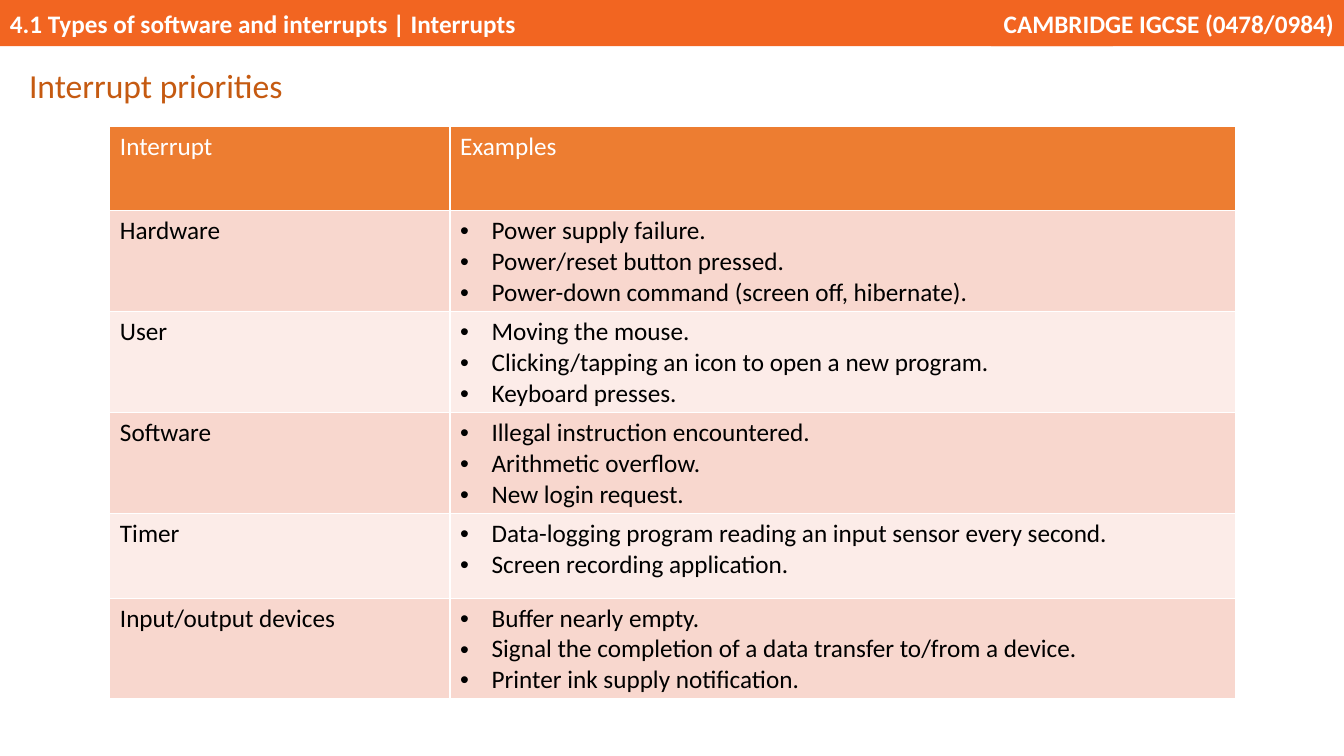
from lxml.etree import SubElement
from pptx import Presentation
from pptx.dml.color import RGBColor
from pptx.enum.shapes import MSO_SHAPE
from pptx.enum.text import MSO_ANCHOR, MSO_AUTO_SIZE, PP_ALIGN
from pptx.oxml.ns import qn
from pptx.util import Pt

WHITE = RGBColor(0xFF, 0xFF, 0xFF)
BLACK = RGBColor(0x00, 0x00, 0x00)
BANNER_ORANGE = RGBColor(0xF2, 0x65, 0x21)
HEADING_BROWN = RGBColor(0xC5, 0x5A, 0x11)
HEADER_ORANGE = RGBColor(0xED, 0x7D, 0x31)
BANDS = (RGBColor(0xF8, 0xD7, 0xCE), RGBColor(0xFC, 0xEC, 0xE8))

INTERRUPTS = {
    "Hardware": [
        "Power supply failure.",
        "Power/reset button pressed.",
        "Power-down command (screen off, hibernate).",
    ],
    "User": [
        "Moving the mouse.",
        "Clicking/tapping an icon to open a new program.",
        "Keyboard presses.",
    ],
    "Software": [
        "Illegal instruction encountered.",
        "Arithmetic overflow.",
        "New login request.",
    ],
    "Timer": [
        "Data-logging program reading an input sensor every second.",
        "Screen recording application.",
    ],
    "Input/output devices": [
        "Buffer nearly empty.",
        "Signal the completion of a data transfer to/from a device.",
        "Printer ink supply notification.",
    ],
}


def apply_format(target, values):
    for name, value in values.items():
        setattr(target, name, value)


class InterruptSlide:
    font_name = "Calibri"
    body_size = Pt(18)
    bullet_indent = Pt(22.5)
    border_width = Pt(1)

    def __init__(self, slide):
        self.slide = slide

    def set_text(self, paragraph, text, color, **font):
        paragraph.text = text
        values = {"name": self.font_name, "size": self.body_size, **font}
        apply_format(paragraph.font, values)
        paragraph.font.color.rgb = color

    def box(self, left, top, width, height, fill):
        box = self.slide.shapes.add_shape(
            MSO_SHAPE.RECTANGLE, Pt(left), Pt(top), Pt(width), Pt(height))
        box.shadow.inherit = False
        box.fill.solid()
        box.fill.fore_color.rgb = fill
        box.line.fill.background()
        return box

    def banner(self, left, width, text, alignment):
        banner = self.box(left, 0, width, 33, BANNER_ORANGE)
        apply_format(banner.text_frame, {
            "word_wrap": True, "vertical_anchor": MSO_ANCHOR.MIDDLE})
        label = banner.text_frame.paragraphs[0]
        label.alignment = alignment
        self.set_text(label, text, WHITE, bold=True)

    def heading(self, text):
        heading = self.box(13.7, 41, 197.3, 36.7, WHITE)
        tint = heading._element.spPr.find(qn("a:solidFill"))[0]
        SubElement(tint, qn("a:alpha"), val="70000")
        apply_format(heading.text_frame, {
            "word_wrap": False,
            "auto_size": MSO_AUTO_SIZE.SHAPE_TO_FIT_TEXT,
            "vertical_anchor": MSO_ANCHOR.TOP,
        })
        title = heading.text_frame.paragraphs[0]
        apply_format(title, {
            "alignment": PP_ALIGN.LEFT,
            "line_spacing": 1.07,
            "space_after": Pt(8),
        })
        self.set_text(title, text, HEADING_BROWN, size=Pt(24))

    def cell(self, cell, lines, fill, color, bulleted=False):
        properties = cell._tc.get_or_add_tcPr()
        for side in ("lnL", "lnR", "lnT", "lnB"):
            border = SubElement(
                properties, qn(f"a:{side}"), w=str(self.border_width))
            paint = SubElement(border, qn("a:solidFill"))
            SubElement(paint, qn("a:srgbClr"), val=str(WHITE))
        cell.fill.solid()
        cell.fill.fore_color.rgb = fill
        frame = cell.text_frame
        for index, line in enumerate(lines):
            paragraph = frame.add_paragraph() if index else frame.paragraphs[0]
            if bulleted:
                self.bullet(paragraph)
            self.set_text(paragraph, line, color, bold=False)

    def bullet(self, paragraph):
        properties = paragraph._p.get_or_add_pPr()
        properties.set("marL", str(self.bullet_indent))
        properties.set("indent", str(-self.bullet_indent))
        SubElement(properties, qn("a:buFont"), typeface="Arial")
        SubElement(properties, qn("a:buChar"), char="•")

    def table(self, headings, interrupts):
        row_count = len(interrupts) + 1
        row_height = 60.6
        table = self.slide.shapes.add_table(
            row_count, len(headings), Pt(78.5), Pt(90),
            Pt(804), Pt(row_height * row_count)).table
        for column, width in zip(table.columns, (243, 561)):
            column.width = Pt(width)
        for row in table.rows:
            row.height = Pt(row_height)
        for column, title in enumerate(headings):
            self.cell(table.cell(0, column), [title], HEADER_ORANGE, WHITE)
        for row, (interrupt, examples) in enumerate(interrupts.items(), 1):
            band = BANDS[(row - 1) % len(BANDS)]
            self.cell(table.cell(row, 0), [interrupt], band, BLACK)
            self.cell(table.cell(row, 1), examples, band, BLACK, bulleted=True)


def main():
    presentation = Presentation()
    apply_format(presentation, {
        "slide_width": Pt(960), "slide_height": Pt(540)})
    page = InterruptSlide(
        presentation.slides.add_slide(presentation.slide_layouts[6]))
    page.banner(0, 795, "4.1 Types of software and interrupts | Interrupts",
                PP_ALIGN.LEFT)
    page.banner(708, 252, "CAMBRIDGE IGCSE (0478/0984)", PP_ALIGN.RIGHT)
    page.heading("Interrupt priorities")
    page.table(("Interrupt", "Examples"), INTERRUPTS)
    presentation.save("out.pptx")


if __name__ == "__main__":
    main()
